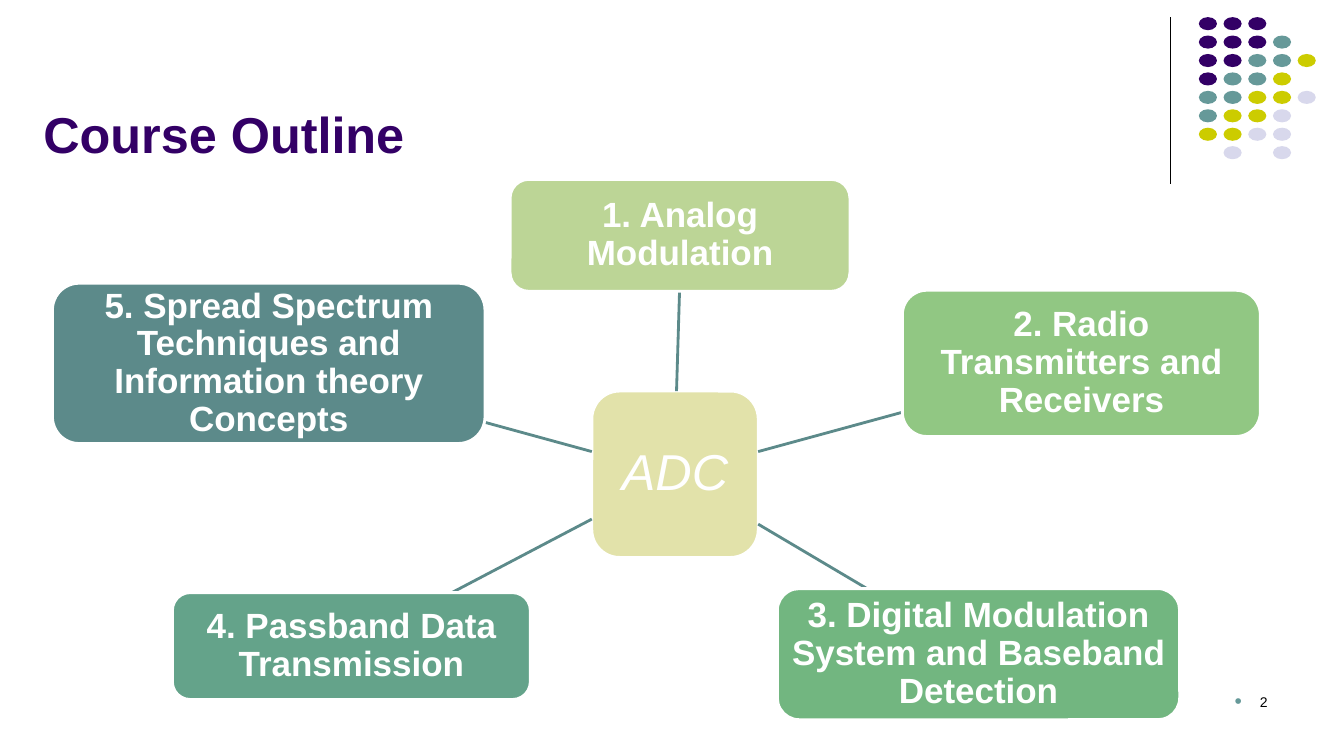
import lxml.etree
import pptx
import pptx.dml.color
import pptx.enum.shapes
import pptx.enum.text
import pptx.oxml.ns
import pptx.util

Inches, Pt = pptx.util.Inches, pptx.util.Pt
SHAPE = pptx.enum.shapes.MSO_SHAPE
ALIGN = pptx.enum.text.PP_ALIGN
ANCHOR = pptx.enum.text.MSO_ANCHOR
qn = pptx.oxml.ns.qn

COLORS = {
    "purple": "330066", "teal": "669999", "lime": "CCCC00", "mist": "D8D8EC",
    "white": "FFFFFF", "black": "000000", "line": "5C8A8A", "hub": "E2E2AA",
    "one": "BCD596", "two": "91C783", "three": "72B680", "four": "64A38A",
    "five": "5C8A8A",
}
DOTS = ["PPP", "PPPT", "PPTTL", "PTTL", "TTLLM", "TLLM", "LLMM", " M M"]
KEYS = {"P": "purple", "T": "teal", "L": "lime", "M": "mist"}

# Label, colour, box, and the ends of the spoke from the hub
TOPICS = [
    ("1. Analog Modulation", "one",
     (5.06, 1.78, 3.37, 1.11), (6.71, 3.88, 6.74, 2.89)),
    ("2. Radio Transmitters and Receivers", "two",
     (8.95, 2.88, 3.55, 1.45), (7.52, 4.48, 8.95, 4.09)),
    ("3. Digital Modulation System and Baseband Detection", "three",
     (7.71, 5.84, 3.99, 1.3), (7.52, 5.2, 8.6, 5.84)),
    ("4. Passband Data Transmission", "four",
     (1.71, 5.88, 3.55, 1.06), (5.87, 5.15, 4.48, 5.88)),
    ("5. Spread Spectrum Techniques and Information theory Concepts", "five",
     (0.52, 2.81, 4.29, 1.59), (5.87, 4.48, 4.81, 4.19)),
]


def tint(name):
    return pptx.dml.color.RGBColor.from_string(COLORS[name])


def write(shape, text, size=25, color="white", bold=False, italic=False,
          align=ALIGN.CENTER, anchor=ANCHOR.MIDDLE, inset=None, space=None,
          bullet=None):
    frame = shape.text_frame
    frame.word_wrap = True
    frame.vertical_anchor = anchor
    if inset is not None:
        frame.margin_left = frame.margin_right = Inches(inset)
        frame.margin_top = frame.margin_bottom = Inches(inset)
    para = frame.paragraphs[0]
    para.alignment = align
    para.line_spacing = space
    if bullet:
        props = para._p.get_or_add_pPr()
        props.set("marL", str(Inches(0.25)))
        props.set("indent", str(Inches(-0.25)))
        tone = lxml.etree.SubElement(props, qn("a:buClr"))
        lxml.etree.SubElement(tone, qn("a:srgbClr"), val=COLORS[bullet])
        lxml.etree.SubElement(props, qn("a:buSzPct"), val="150000")
        lxml.etree.SubElement(props, qn("a:buFont"), typeface="Arial")
        lxml.etree.SubElement(props, qn("a:buChar"), char="•")
    run = para.add_run()
    run.text = text
    font = run.font
    font.name, font.size = "Arial", Pt(size)
    font.bold, font.italic = bold, italic
    font.color.rgb = tint(color)


def block(slide, kind, box, fill, edge=None):
    shape = slide.shapes.add_shape(kind, *map(Inches, box))
    shape.shadow.inherit = False
    shape.fill.solid()
    shape.fill.fore_color.rgb = tint(fill)
    if edge:
        shape.line.color.rgb = tint(edge)
        shape.line.width = Pt(2)
    else:
        shape.line.fill.background()
    return shape


def stroke(slide, ends, color, width):
    line = slide.shapes.add_connector(
        pptx.enum.shapes.MSO_CONNECTOR.STRAIGHT, *map(Inches, ends))
    line.line.color.rgb = tint(color)
    line.line.width = Pt(width)
    lxml.etree.SubElement(line._element.spPr, qn("a:effectLst"))


def corner(slide, box):
    """Rule on the left edge and a grid of dots on the right."""
    left, top, width, height = box
    stroke(slide, (left, top, left, top + height), "black", 0.75)
    wide, high = 0.18, 0.13
    first = left + 0.28
    step = (left + width - wide - first) / 4
    drop = 1.28 / 7
    for row, marks in enumerate(DOTS):
        for col, mark in enumerate(marks):
            if mark in KEYS:
                spot = (first + col * step, top + row * drop, wide, high)
                block(slide, SHAPE.OVAL, spot, KEYS[mark])


def heading(slide, box):
    title = slide.shapes.title
    title.left, title.top, title.width, title.height = map(Inches, box)
    write(title, "Course Outline", size=36, color="purple", bold=True,
          align=ALIGN.LEFT, anchor=ANCHOR.BOTTOM)


def wheel(slide, box):
    """Hub in the given box, with a spoke to each topic."""
    hub = block(slide, SHAPE.ROUNDED_RECTANGLE, box, "hub", "white")
    write(hub, "ADC", size=36, italic=True, inset=0.07, space=0.9)
    for label, color, place, ends in TOPICS:
        stroke(slide, ends, "line", 2)
        node = block(slide, SHAPE.ROUNDED_RECTANGLE, place, color, "white")
        write(node, label, bold=True, inset=0.07, space=0.9)


def folio(slide, box):
    note = slide.shapes.add_textbox(*map(Inches, box))
    write(note, "2", size=10, color="black", align=ALIGN.RIGHT,
          anchor=ANCHOR.TOP, bullet="teal")


def main():
    deck = pptx.Presentation()
    deck.slide_width, deck.slide_height = Inches(13.33), Inches(7.5)
    slide = deck.slides.add_slide(deck.slide_layouts[5])
    corner(slide, (11.61, 0.17, 1.44, 1.66))
    heading(slide, (0.33, 0.25, 11.22, 1.42))
    wheel(slide, (5.87, 3.88, 1.65, 1.65))
    folio(slide, (9.56, 6.83, 3.11, 0.5))
    deck.save("out.pptx")


if __name__ == "__main__":
    main()
